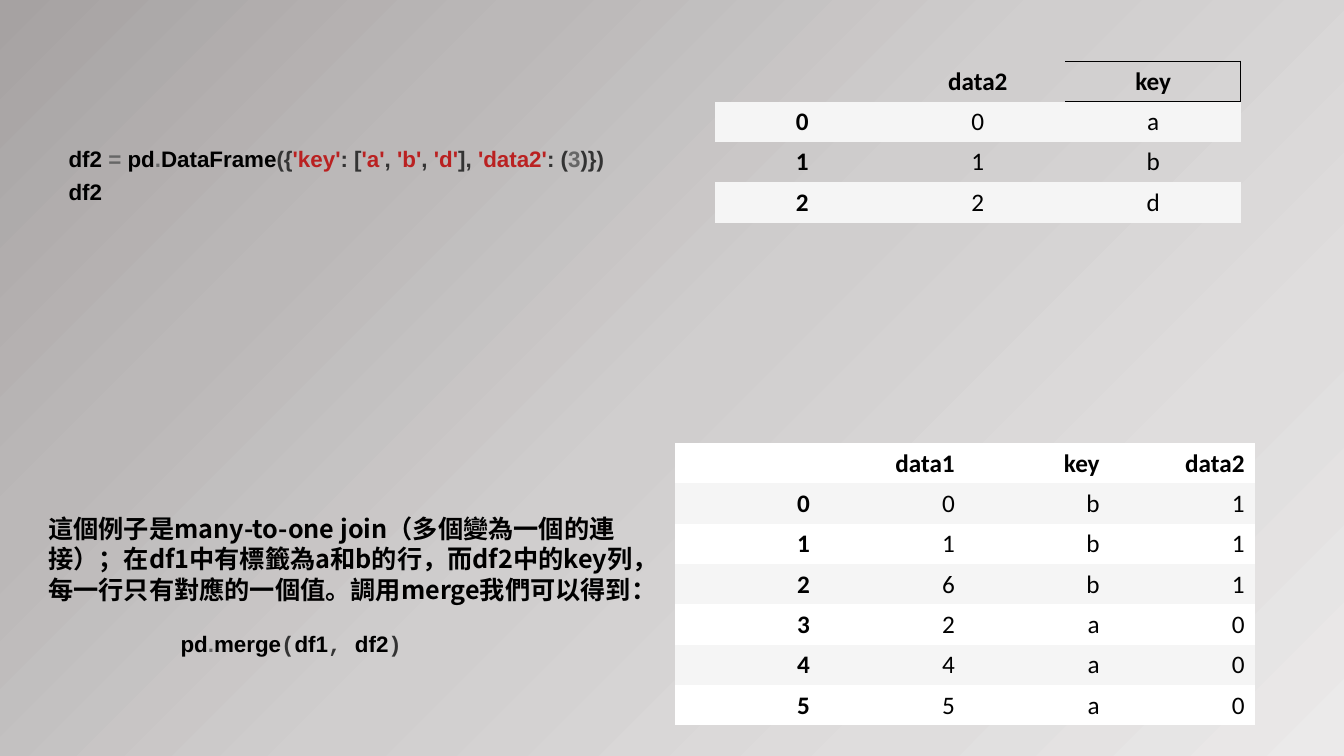
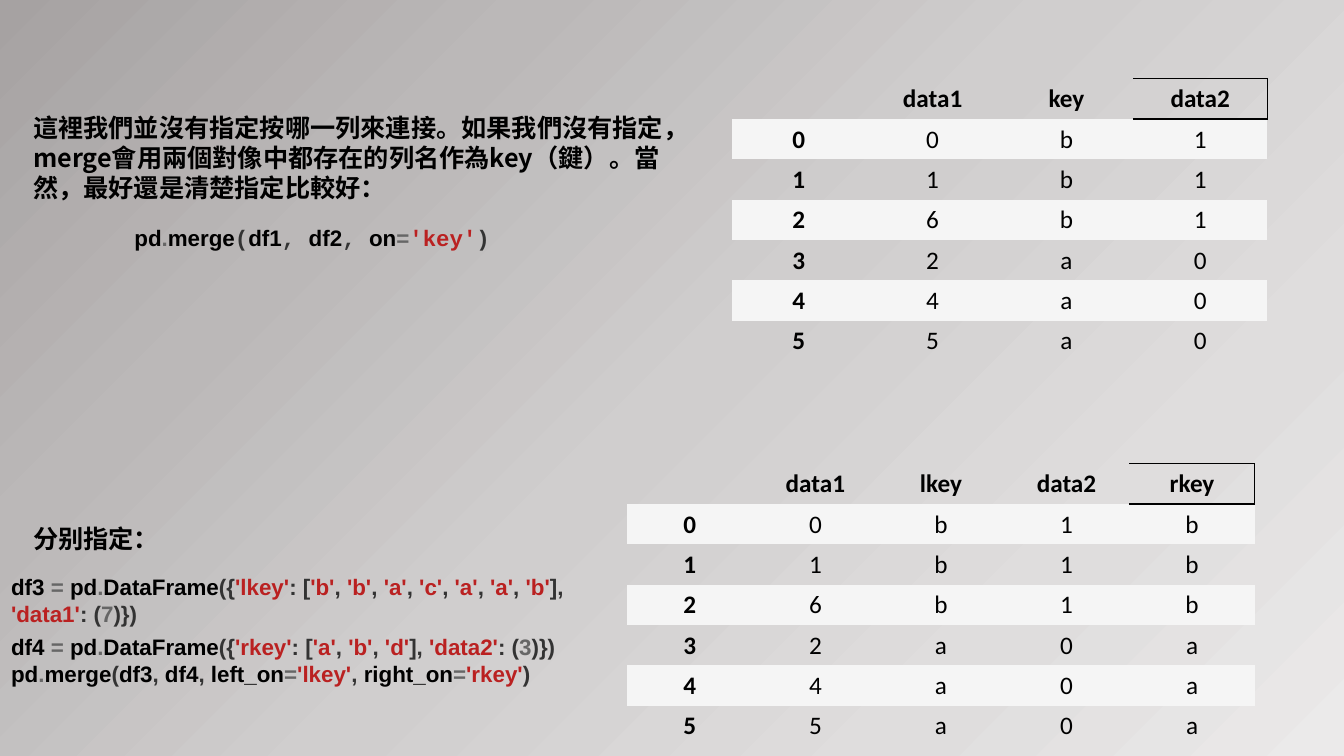
from copy import deepcopy
from dataclasses import dataclass
from itertools import groupby

from lxml.etree import SubElement as Sub
from pptx import Presentation
from pptx.dml.color import RGBColor as Rgb
from pptx.enum.text import MSO_ANCHOR as Anchor, PP_ALIGN as Align
from pptx.oxml.ns import qn
from pptx.slide import Slide, SlideMaster as Master
from pptx.table import _Cell as Cell
from pptx.text.text import TextFrame as Frame, _Run as Run
from pptx.util import Pt

BLACK = Rgb(0x00, 0x00, 0x00)
WHITE = Rgb(0xFF, 0xFF, 0xFF)
PALE = Rgb(0xF5, 0xF5, 0xF5)
DARK = Rgb(0x33, 0x33, 0x33)
GREY = Rgb(0x66, 0x66, 0x66)
RED = Rgb(0xBA, 0x21, 0x21)
STOPS = (
    (0, Rgb(0xA6, 0xA2, 0xA2)),
    (0.26, Rgb(0xBB, 0xB8, 0xB8)),
    (0.51, Rgb(0xD0, 0xCE, 0xCE)),
    (0.78, Rgb(0xDF, 0xDD, 0xDD)),
    (1, Rgb(0xEB, 0xEA, 0xEA)),
)
SANS, MONO, GRID, HAN = "Arial", "Courier New", "Calibri", "Noto Sans CJK SC"
PLAIN = "{2D5ABB26-0587-4C30-8999-92F81FD0307C}"
ROW = 28.8


@dataclass(frozen=True)
class Box:
    left: float
    top: float
    width: float
    height: float


@dataclass(frozen=True)
class Note:
    box: Box
    text: str


@dataclass(frozen=True)
class Code:
    box: Box
    lines: tuple[str, ...]
    gaps: tuple[float, ...] = (0,)
    mono: bool = False


@dataclass(frozen=True)
class Data:
    left: float
    top: float
    col: float
    rows: tuple[str, ...]
    align: Align = Align.CENTER
    solid: bool = False


MERGED = ("0 0 b 1", "1 1 b 1", "2 6 b 1", "3 2 a 0", "4 4 a 0", "5 5 a 0")
BOTH = tuple(f"{row} {row.split()[2]}" for row in MERGED)

SLIDES = (
    (
        Code(
            Box(49, 103.5, 433.5, 43),
            ("df2 = pd.DataFrame({'key': ['a', 'b', 'd'], 'data2': (3)})", "df2"),
            (0, 5),
        ),
        Data(510.5, 43.7, 125.3, ("data2 key", "0 0 a", "1 1 b", "2 2 d")),
        Note(
            Box(27.4, 363.5, 433.5, 94),
            "這個例子是many-to-one join（多個變為一個的連接）；在df1中有標籤為a和b的行，"
            "而df2中的key列，每一行只有對應的一個值。調用merge我們可以得到：",
        ),
        Code(Box(129, 450.5, 165, 19), ("pd.merge(df1, df2)",), mono=True),
        Data(482.2, 316.4, 103.5, ("data1 key data2", *MERGED), Align.RIGHT, True),
    ),
    (
        Note(
            Box(16.6, 77, 477.4, 72),
            "這裡我們並沒有指定按哪一列來連接。如果我們沒有指定，"
            "merge會用兩個對像中都存在的列名作為key（鍵）。當然，最好還是清楚指定比較好：",
        ),
        Code(Box(96, 160.5, 262, 19), ("pd.merge(df1, df2, on='key')",), mono=True),
        Data(522.8, 56.2, 95.6, ("data1 key data2", *MERGED)),
        Note(Box(16.6, 370, 110, 29), "分别指定："),
        Code(
            Box(7.9, 410.5, 410, 79),
            (
                "df3 = pd.DataFrame({'lkey': ['b', 'b', 'a', 'c', 'a', 'a', 'b'], "
                "'data1': (7)})",
                "df4 = pd.DataFrame({'rkey': ['a', 'b', 'd'], 'data2': (3)})",
                "pd.merge(df3, df4, left_on='lkey', right_on='rkey')",
            ),
            (0, 5, 0),
        ),
        Data(447.9, 331.2, 89.7, ("data1 lkey data2 rkey", *BOTH)),
    ),
)


def style(run: Run, name: str, size: float, color: Rgb, bold: bool = True) -> None:
    font = run.font
    font.name, font.size, font.bold = name, Pt(size), bold
    font.color.rgb = color


def kind(char: str) -> str:
    if char.isalnum() or char == "_":
        return "word"
    return "sign" if char in "=." else "mark"


def lex(line: str) -> list[tuple[str, Rgb]]:
    """Split a line of code into tokens with their colours."""
    tokens = []
    for i, part in enumerate(line.split("'")):
        if i % 2:
            tokens.append((f"'{part}'", RED))
            continue
        for name, chars in groupby(part, kind):
            text = "".join(chars)
            color = {"word": BLACK, "sign": GREY, "mark": DARK}[name]
            tokens.append((text, GREY if text.isdigit() else color))
    return tokens


def frame(slide: Slide, box: Box) -> Frame:
    shape = slide.shapes.add_textbox(
        Pt(box.left), Pt(box.top), Pt(box.width), Pt(box.height)
    )
    shape.text_frame.word_wrap = True
    return shape.text_frame


def draw_note(slide: Slide, note: Note) -> None:
    body = frame(slide, note.box)
    body.text = note.text
    para = body.paragraphs[0]
    para.line_spacing = Pt(21.5)
    run = para.runs[0]
    style(run, HAN, 18, BLACK)
    Sub(run.font._element, qn("a:ea"), typeface=HAN)


def draw_code(slide: Slide, code: Code) -> None:
    body = frame(slide, code.box)
    body.margin_left = body.margin_right = body.margin_top = body.margin_bottom = 0
    body.vertical_anchor = Anchor.MIDDLE
    for i, (line, gap) in enumerate(zip(code.lines, code.gaps)):
        para = body.add_paragraph() if i else body.paragraphs[0]
        if gap:
            para.space_before = Pt(gap)
        for text, color in lex(line):
            run = para.add_run()
            run.text = text
            fixed = code.mono and color in (DARK, RED)
            style(run, MONO if fixed else SANS, 16, color)


def edge(cell: Cell) -> None:
    """Rule the right, top and bottom sides of a cell."""
    props = cell._tc.get_or_add_tcPr()
    for i, side in enumerate(("a:lnR", "a:lnT", "a:lnB")):
        line = Sub(props, qn(side), w=str(Pt(1)))
        fill = Sub(line, qn("a:solidFill"))
        Sub(fill, qn("a:srgbClr"), val=str(BLACK))
        props.insert(i, line)


def draw_data(slide: Slide, data: Data) -> None:
    rows = [("", *data.rows[0].split()), *(row.split() for row in data.rows[1:])]
    high, wide = len(rows), len(rows[0])
    shape = slide.shapes.add_table(
        high, wide, Pt(data.left), Pt(data.top), Pt(data.col * wide), Pt(ROW * high)
    )
    table = shape.table
    table.first_row = table.horz_banding = False
    table._tbl.tblPr.find(qn("a:tableStyleId")).text = PLAIN
    for r, row in enumerate(rows):
        table.rows[r].height = Pt(ROW)
        for c, text in enumerate(row):
            cell = table.cell(r, c)
            cell.vertical_anchor = Anchor.MIDDLE
            if r % 2 or data.solid:
                cell.fill.solid()
                cell.fill.fore_color.rgb = PALE if r % 2 else WHITE
            else:
                cell.fill.background()
            para = cell.text_frame.paragraphs[0]
            para.text = text
            para.alignment = data.align
            for run in para.runs:
                style(run, GRID, 18, BLACK, r == 0 or c == 0)
    if not data.solid:
        edge(table.cell(0, wide - 1))


def shade(master: Master) -> None:
    """Give all slides the diagonal grey gradient."""
    fill = master.background.fill
    fill.gradient()
    fill.gradient_angle = 315
    stops = master.element.find(f".//{qn('a:gsLst')}")
    while len(stops) < len(STOPS):
        stops.append(deepcopy(stops[0]))
    for stop, (place, color) in zip(fill.gradient_stops, STOPS):
        stop.position = place
        stop.color.rgb = color


def main() -> None:
    deck = Presentation()
    deck.slide_width, deck.slide_height = Pt(960), Pt(540)
    shade(deck.slide_master)
    draw = {Note: draw_note, Code: draw_code, Data: draw_data}
    for items in SLIDES:
        slide = deck.slides.add_slide(deck.slide_layouts[6])
        for item in items:
            draw[type(item)](slide, item)
    deck.save("out.pptx")


if __name__ == "__main__":
    main()
